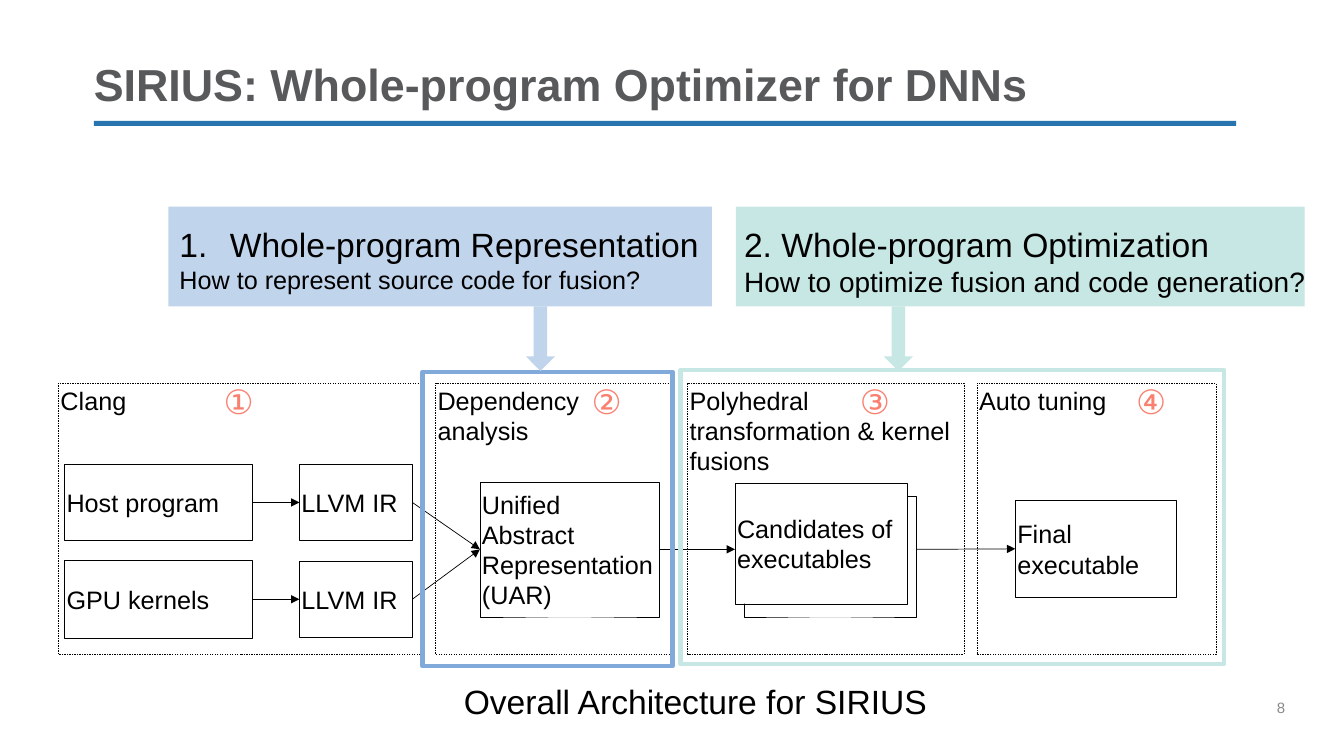
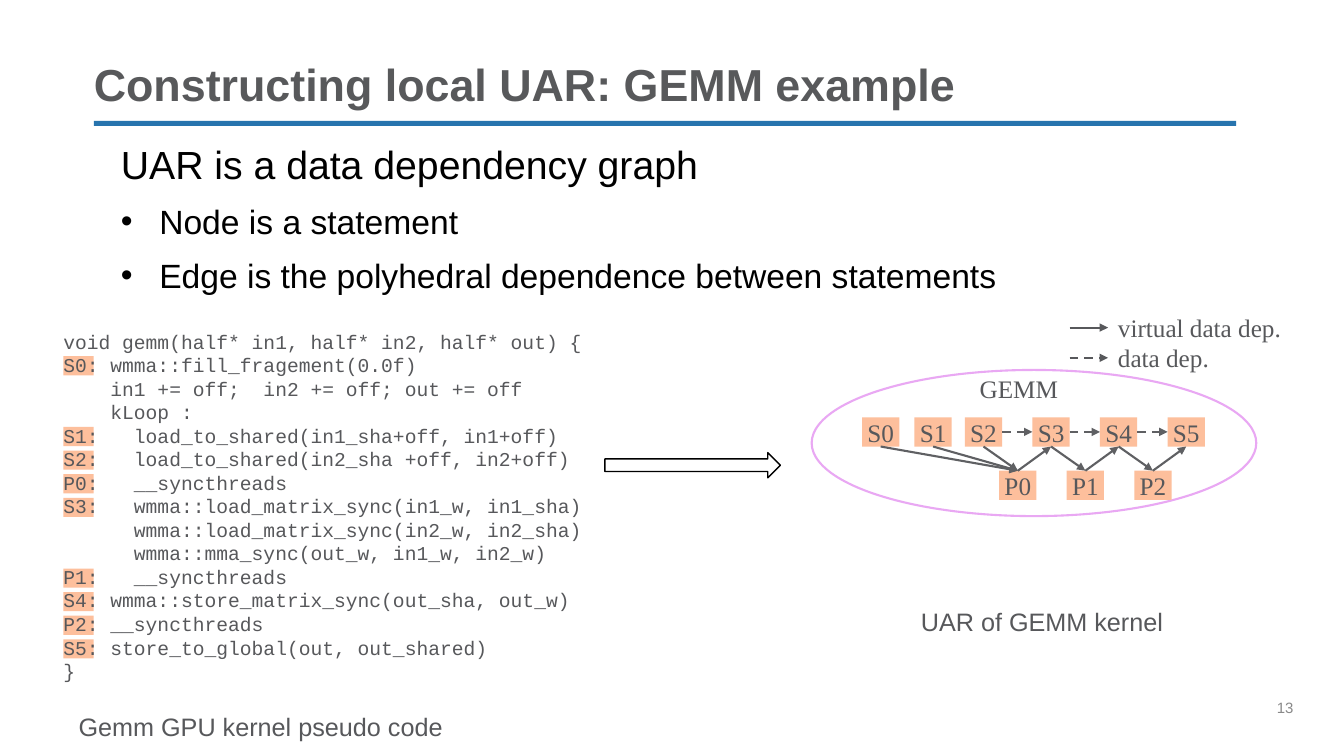
from lxml import etree
from pptx import Presentation
from pptx import util as u
from pptx.dml.color import RGBColor
from pptx.enum import dml, shapes, text
from pptx.oxml.ns import qn

W, H = 13.33, 7.5
MARGIN = 0.93


class Theme:
    sans, serif, mono = "Arial", "Times New Roman", "Courier New"
    black, white = "000000", "FFFFFF"
    title, body, page, bar = "58595B", "57585B", "898989", "2774AE"
    blue, pale_blue, pale_teal = "81AADA", "C0D4EC", "C7E7E4"
    coral, peach, violet, edge = "FA7F6F", "FDBF9C", "E9A8F3", "5F6063"
    title_pt, lead_pt, head_pt, sub_pt, text_pt = 32, 28, 24, 20, 18
    code_pt, page_pt = 14, 10.7


T = Theme
RECT = shapes.MSO_SHAPE.RECTANGLE
TOP, LEFT, BOTTOM, RIGHT = range(4)
MIDDLE = text.MSO_ANCHOR.MIDDLE
CENTER = text.PP_ALIGN.CENTER
DASH = dml.MSO_LINE.DASH

# Architecture slide: stages are (label, left, width), steps are (lines, box)
STAGE_TOP, STAGE_H = 3.8, 2.69
STAGES = [("Clang", 0.58, 3.62), ("Dependency analysis", 4.32, 2.37),
          ("Polyhedral transformation & kernel fusions", 6.82, 2.74),
          ("Auto tuning", 9.69, 2.37)]
STEPS = {
    "host": (["Host program"], (0.64, 4.61, 1.86, 0.75)),
    "kernels": (["GPU kernels"], (0.64, 5.56, 1.86, 0.77)),
    "host_ir": (["LLVM IR"], (2.97, 4.61, 1.12, 0.75)),
    "kernels_ir": (["LLVM IR"], (2.97, 5.57, 1.12, 0.75)),
    "uar": (["Unified Abstract Representation", "(UAR)"], (4.76, 4.78, 1.78, 1.34)),
    "stack": ([], (7.38, 4.92, 1.71, 1.2)),
    "candidates": (["Candidates of executables"], (7.29, 4.79, 1.71, 1.2)),
    "final": (["Final executable"], (10.07, 4.96, 1.6, 0.97)),
}
FLOWS = [("host", "host_ir"), ("kernels", "kernels_ir"),
         ("host_ir", "uar"), ("kernels_ir", "uar")]
FLOW_Y = 5.45
MARKS = [("①", 2.12), ("②", 5.77), ("③", 8.43), ("④", 11.17)]
PARTS = [
    dict(banner=(1.67, 5.39), frame=(4.19, 3.69, 2.48), arrow=5.36, fill=T.pale_blue,
         line=T.blue, text_left=1.78,
         lines=[("Whole-program Representation", dict(number=True, indent=0.5)),
                ("How to represent source code for fusion?", dict(size=T.text_pt))]),
    dict(banner=(7.3, 5.64), frame=(6.75, 3.67, 5.39), arrow=8.91, fill=T.pale_teal,
         line=T.pale_teal, text_left=7.38,
         lines=["2. Whole-program Optimization",
                ("How to optimize fusion and code generation?", dict(size=T.sub_pt))]),
]

# GEMM slide
BULLETS = ["Node is a statement", "Edge is the polyhedral dependence between statements"]
CODE = """void gemm(half* in1, half* in2, half* out) {
S0: wmma::fill_fragement(0.0f)
    in1 += off;  in2 += off; out += off
    kLoop :
S1:   load_to_shared(in1_sha+off, in1+off)
S2:   load_to_shared(in2_sha +off, in2+off)
P0:   __syncthreads
S3:   wmma::load_matrix_sync(in1_w, in1_sha)
      wmma::load_matrix_sync(in2_w, in2_sha)
      wmma::mma_sync(out_w, in1_w, in2_w)
P1:   __syncthreads
S4: wmma::store_matrix_sync(out_sha, out_w)
P2: __syncthreads
S5: store_to_global(out, out_shared)
}""".split("\n")
CODE_TOP, CODE_PITCH = 3.3, 0.234
NODE_W, NODE_H, NODE_PITCH = 0.37, 0.29, 0.67
S_TOP, P_TOP = 4.14, 4.67
S_LEFTS = [8.55, 9.07] + [9.57 + NODE_PITCH * i for i in range(4)]
P_LEFTS = [9.91 + NODE_PITCH * i for i in range(3)]
VIRTUAL_DEPS = ["S0 P0", "S1 P0", "S2 P0", "P0 S3", "S3 P1", "P1 S4", "S4 P2", "P2 S5"]
DATA_DEPS = ["S2 S3", "S3 S4", "S4 S5"]
LEGEND = [("virtual data dep.", 3.25, None), ("data dep.", 3.55, DASH)]


def inches(*values):
    return [u.Inches(v) for v in values]


def rgb(color):
    return RGBColor.from_string(color)


def write(tf, lines, size=T.text_pt, color=T.black, font=T.sans, bold=False, align=None,
          anchor=text.MSO_ANCHOR.TOP, inset=(0, 0), before=0, spacing=None,
          indent=0, bullet=None, number=False):
    """Fill a text frame; a line may be a (text, overrides) pair."""
    tf.word_wrap = True
    tf.vertical_anchor = anchor
    tf.margin_left = tf.margin_right = u.Inches(inset[0])
    tf.margin_top = tf.margin_bottom = u.Inches(inset[1])
    base = dict(size=size, indent=indent, bullet=bullet, number=number)
    for i, line in enumerate(lines):
        words, own = (line, {}) if isinstance(line, str) else line
        fmt = {**base, **own}
        p = tf.paragraphs[0] if i == 0 else tf.add_paragraph()
        if fmt["indent"]:
            pPr = p._p.get_or_add_pPr()
            pPr.set("marL", str(u.Inches(fmt["indent"])))
            pPr.set("indent", str(-u.Inches(fmt["indent"])))
            etree.SubElement(pPr, qn("a:buFont"), typeface=font)
            if fmt["number"]:
                etree.SubElement(pPr, qn("a:buAutoNum"), type="arabicPeriod")
            else:
                etree.SubElement(pPr, qn("a:buChar"), char=fmt["bullet"])
        p.alignment = align or text.PP_ALIGN.LEFT
        p.space_before = u.Pt(before if i else 0)
        if spacing:
            p.line_spacing = spacing
        r = p.add_run()
        r.text = words
        r.font.name, r.font.size, r.font.bold = font, u.Pt(fmt["size"]), bold
        r.font.color.rgb = rgb(color)


def add_text(s, box, lines, **fmt):
    write(s.shapes.add_textbox(*inches(*box)).text_frame, lines, **fmt)


def add_shape(s, box, kind=RECT, fill=None, line=None, width=0.25, dash=None,
              lines=(), **fmt):
    sp = s.shapes.add_shape(kind, *inches(*box))
    sp.shadow.inherit = False
    if fill:
        sp.fill.solid()
        sp.fill.fore_color.rgb = rgb(fill)
    else:
        sp.fill.background()
    if line:
        sp.line.color.rgb = rgb(line)
        sp.line.width = u.Pt(width)
        if dash:
            sp.line.dash_style = dash
    else:
        sp.line.fill.background()
    if lines:
        write(sp.text_frame, lines, **fmt)
    return sp


def add_arrow(s, start, end, color=T.black, width=0.5, dash=None):
    """Draw an arrow; each end is an (x, y) point or a (shape, side) pair."""
    joined = [hasattr(e[0], "shape_id") for e in (start, end)]
    points = [(0, 0) if j else e for j, e in zip(joined, (start, end))]
    c = s.shapes.add_connector(shapes.MSO_CONNECTOR.STRAIGHT, *inches(*points[0], *points[1]))
    if joined[0]:
        c.begin_connect(*start)
    if joined[1]:
        c.end_connect(*end)
    c.line.color.rgb = rgb(color)
    c.line.width = u.Pt(width)
    if dash:
        c.line.dash_style = dash
    etree.SubElement(c.line._get_or_add_ln(), qn("a:tailEnd"), type="triangle")
    etree.SubElement(c._element.spPr, qn("a:effectLst"))


def new_slide(prs, title, page):
    s = prs.slides.add_slide(prs.slide_layouts[5])
    add_shape(s, (MARGIN, 1.2, W * 0.85, 0.05), fill=T.bar)
    ph = s.shapes.title
    ph.left, ph.top, ph.width, ph.height = inches(MARGIN, 0.62, W * 0.85, 0.48)
    write(ph.text_frame, [title], size=T.title_pt, color=T.title, bold=True,
          anchor=text.MSO_ANCHOR.BOTTOM, spacing=0.9)
    add_text(s, (W * 0.95, 6.93, W * 0.05, 0.46), [page], size=T.page_pt, color=T.page)
    return s


def architecture_slide(prs):
    s = new_slide(prs, "SIRIUS: Whole-program Optimizer for DNNs", "8")
    for label, left, width in STAGES:
        add_shape(s, (left, STAGE_TOP, width, STAGE_H), line=T.black, dash=DASH,
                  lines=[label], inset=(0.02, 0.02))
    steps = {}
    for name, (lines, box) in STEPS.items():
        steps[name] = add_shape(s, box, fill=T.white, line=T.black, lines=lines,
                                anchor=MIDDLE, inset=(0.02, 0.02))
    for a, b in FLOWS:
        add_arrow(s, (steps[a], RIGHT), (steps[b], LEFT))
    add_arrow(s, (steps["uar"], RIGHT), (STEPS["candidates"][1][0], FLOW_Y))
    stack_left, _, stack_w, _ = STEPS["stack"][1]
    add_arrow(s, (stack_left + stack_w, FLOW_Y), (steps["final"], LEFT))

    for part in PARTS:
        left, width = part["banner"]
        add_shape(s, (left, 2.05, width, 0.99), fill=part["fill"])
        add_shape(s, (*part["frame"], 2.92), line=part["line"], width=3)
        add_text(s, (part["text_left"], 2.22, 5.8, 0.72), part["lines"], size=T.head_pt)
        arrow = add_shape(s, (part["arrow"] - 0.145, 3.04, 0.29, 0.64),
                          shapes.MSO_SHAPE.DOWN_ARROW, fill=part["fill"])
        arrow.adjustments[0] = 0.46
    for mark, left in MARKS:
        add_text(s, (left, 3.73, 0.6, 0.5), [mark], size=T.head_pt, color=T.coral,
                 inset=(0.1, 0.05))
    add_text(s, (4.6, 6.76, 5.1, 0.4), ["Overall Architecture for SIRIUS"], size=T.head_pt)


def gemm_slide(prs):
    s = new_slide(prs, "Constructing local UAR: GEMM example", "13")
    add_text(s, (1.2, 1.39, 11.3, 0.47), ["UAR is a data dependency graph"], size=T.lead_pt)
    add_text(s, (1.2, 1.99, 11.3, 0.95), BULLETS, size=T.head_pt, before=10,
             indent=0.38, bullet="•")

    for i, line in enumerate(CODE):
        if line[2:3] == ":":
            add_shape(s, (0.63, CODE_TOP + CODE_PITCH * i, 0.3, 0.19), fill=T.peach)
    add_text(s, (0.53, 3.22, 5.57, 3.64), CODE, size=T.code_pt, color=T.body,
             font=T.mono, inset=(0.1, 0.05))
    add_text(s, (0.78, 7.06, 3.86, 0.3), ["Gemm GPU kernel pseudo code"], color=T.body)
    add_shape(s, (6, 4.49, 1.74, 0.25), shapes.MSO_SHAPE.RIGHT_ARROW, line=T.black, width=1)

    label = dict(color=T.body, font=T.serif)
    for words, y, dash in LEGEND:
        add_arrow(s, (10.61, y), (10.99, y), T.body, 1.5, dash)
        add_text(s, (10.99, y - 0.2, 1.9, 0.4), [words], inset=(0.1, 0.05), **label)
    add_shape(s, (8.05, 3.67, 4.41, 1.45), shapes.MSO_SHAPE.OVAL, line=T.violet, width=1.5)
    add_text(s, (9.55, 3.65, 1.11, 0.4), ["GEMM"], align=CENTER, inset=(0.1, 0.05), **label)
    nodes = {}
    for kind, lefts, top in (("S", S_LEFTS, S_TOP), ("P", P_LEFTS, P_TOP)):
        for i, left in enumerate(lefts):
            name = f"{kind}{i}"
            nodes[name] = add_shape(s, (left, top, NODE_W, NODE_H), fill=T.peach,
                                    lines=[name], align=CENTER, anchor=MIDDLE, **label)
    for pair in VIRTUAL_DEPS:
        a, b = pair.split()
        sides = (BOTTOM, TOP) if a[0] == "S" else (TOP, BOTTOM)
        add_arrow(s, (nodes[a], sides[0]), (nodes[b], sides[1]), T.edge, 1.5)
    for pair in DATA_DEPS:
        a, b = pair.split()
        add_arrow(s, (nodes[a], RIGHT), (nodes[b], LEFT), T.edge, 1.5, DASH)
    add_text(s, (8.82, 5.97, 3.03, 0.4), ["UAR of GEMM kernel"], color=T.body,
             align=CENTER, inset=(0.1, 0.05))


def main():
    prs = Presentation()
    prs.slide_width, prs.slide_height = inches(W, H)
    architecture_slide(prs)
    gemm_slide(prs)
    prs.save("out.pptx")


if __name__ == "__main__":
    main()
